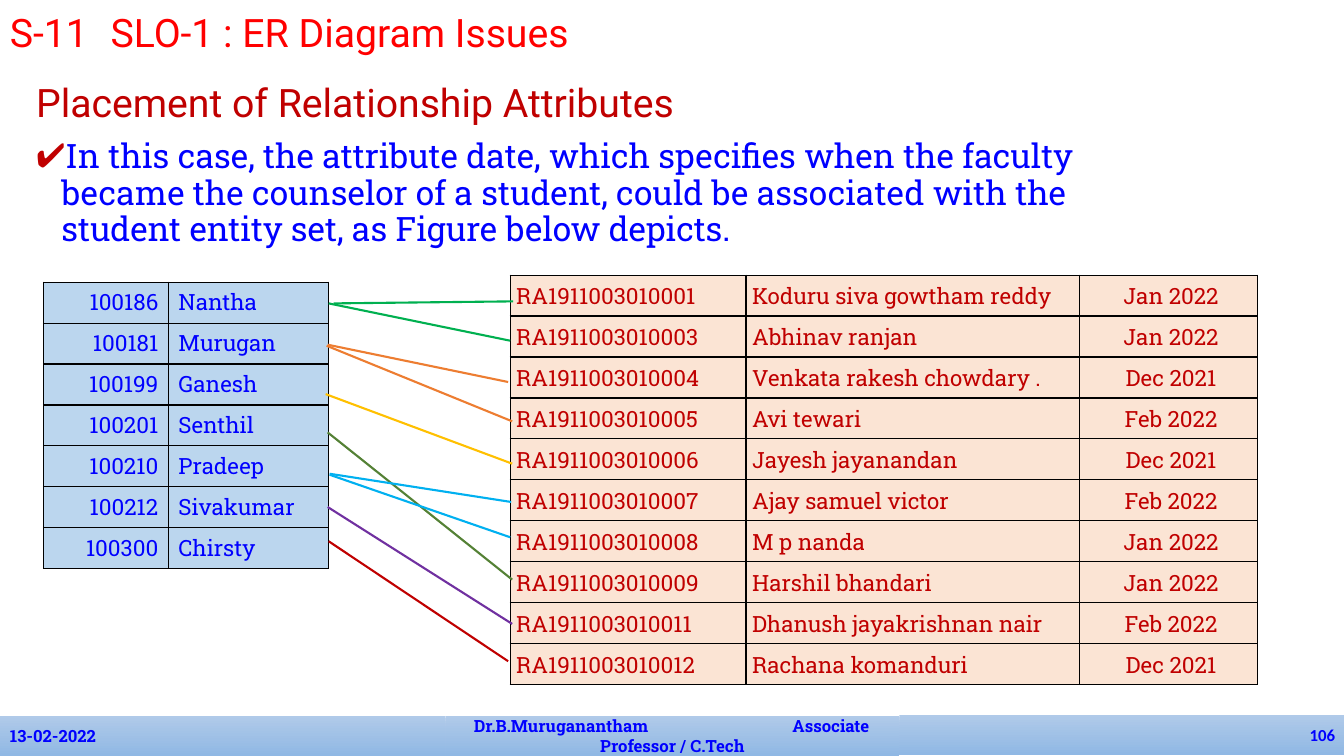
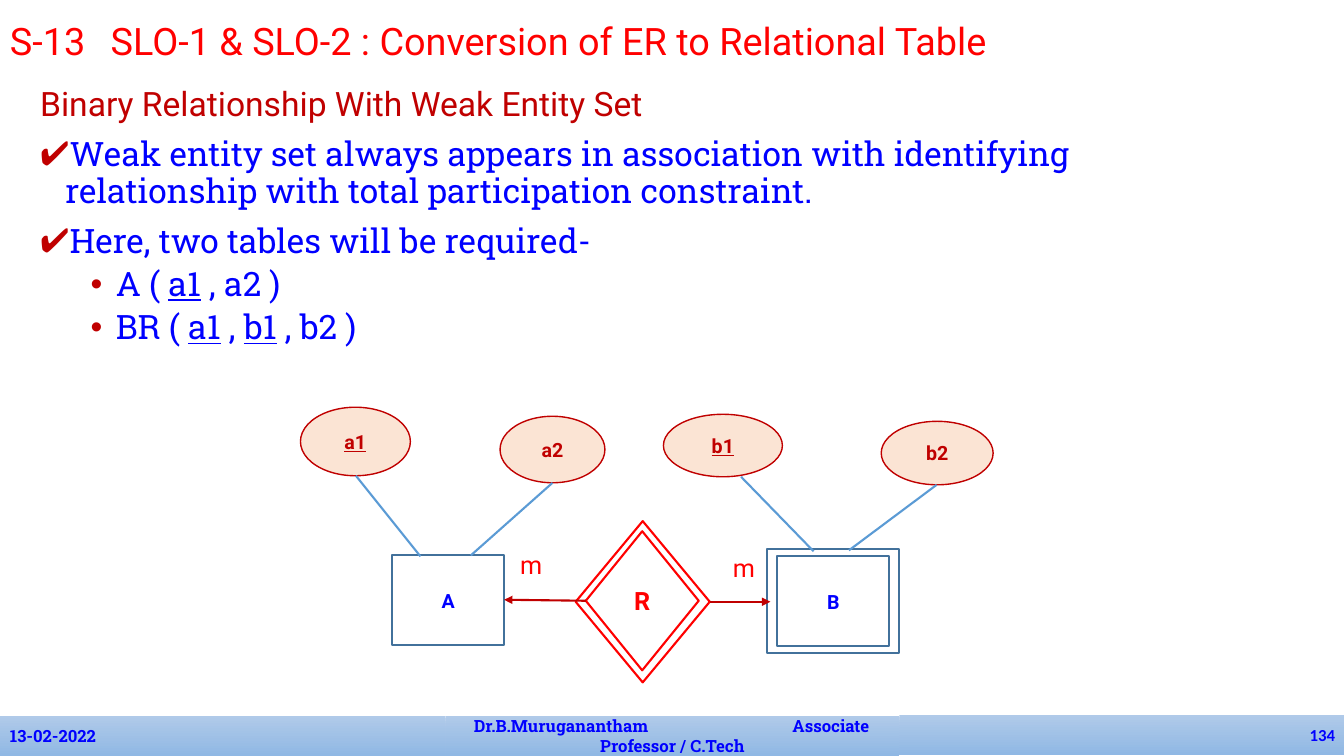
"""Builds two lecture slides on entity-relationship diagrams."""
from lxml import etree
from pptx import Presentation
from pptx.dml.color import RGBColor
from pptx.enum.shapes import MSO_CONNECTOR, MSO_SHAPE
from pptx.enum.text import MSO_ANCHOR, PP_ALIGN
from pptx.oxml.ns import qn
from pptx.util import Inches, Pt

RECTANGLE, ELLIPSE, DIAMOND = MSO_SHAPE.RECTANGLE, MSO_SHAPE.OVAL, MSO_SHAPE.DIAMOND
STRAIGHT = MSO_CONNECTOR.STRAIGHT
TOP, MIDDLE = MSO_ANCHOR.TOP, MSO_ANCHOR.MIDDLE
LEFT, CENTER, RIGHT = PP_ALIGN.LEFT, PP_ALIGN.CENTER, PP_ALIGN.RIGHT

RED = RGBColor(0xFF, 0x00, 0x00)
DARK_RED = RGBColor(0xC0, 0x00, 0x00)
BLUE = RGBColor(0x00, 0x00, 0xFF)
STEEL = RGBColor(0x42, 0x71, 0x9B)
LINK_BLUE = RGBColor(0x5B, 0x9B, 0xD5)
PALE_BLUE = RGBColor(0xBB, 0xD6, 0xEE)
PEACH = RGBColor(0xFB, 0xE4, 0xD4)
GREEN = RGBColor(0x00, 0xB0, 0x50)
ORANGE = RGBColor(0xED, 0x7D, 0x31)
GOLD = RGBColor(0xFF, 0xC0, 0x00)
OLIVE = RGBColor(0x54, 0x81, 0x35)
SKY = RGBColor(0x00, 0xB0, 0xF0)
PURPLE = RGBColor(0x70, 0x30, 0xA0)
BAND_COLORS = RGBColor(0xB0, 0xCA, 0xE9), RGBColor(0x90, 0xB8, 0xE4)


def style(size, color, name="Roboto", bold=False):
    return {"size": Pt(size), "color": color, "name": name, "bold": bold}


BODY = style(24, BLUE, "Roboto Slab")
FOOTER = style(12, BLUE, "Roboto Slab", True)
PAGE_NUMBER = style(12, BLUE, "Calibri", True)
FACULTY_TEXT = style(16, BLUE, "Roboto Slab")
STUDENT_TEXT = style(16, DARK_RED, "Roboto Slab")
ATTRIBUTE = style(14, DARK_RED, bold=True)
ENTITY = style(14, BLUE, bold=True)
RELATIONSHIP = style(18, RED, bold=True)
CARDINALITY = style(18, RED)

DATE = "13-02-2022"
AUTHOR = ["Dr.B.Muruganantham\tAssociate", "Professor / C.Tech"]

PLACEMENT = {
    "title": "S-11\tSLO-1 : ER Diagram Issues", "title_size": 28, "title_top": 0.03,
    "heading": "Placement of Relationship Attributes", "heading_size": 28,
    "body_at": (0.26, 0.78), "page": "106",
    "bullets": [
        ("✔", "In this case, the attribute date, which specifies when the faculty became "
              "the counselor of a student, could be associated with the student entity set, "
              "as Figure below depicts."),
    ],
}
WEAK_ENTITY = {
    "title": "S-13\tSLO-1 & SLO-2 : Conversion of ER to Relational Table",
    "title_size": 27, "title_top": 0.13,
    "heading": "Binary Relationship With Weak Entity Set", "heading_size": 24,
    "body_at": (0.3, 0.82), "page": "134",
    "bullets": [
        ("✔", "Weak entity set always appears in association with identifying "
              "relationship with total participation constraint."),
        ("✔", "Here, two tables will be required-"),
        ("•", "A ( _a1_ , a2 )"),
        ("•", "BR ( _a1_ , _b1_ , b2 )"),
    ],
}
BULLET_FORMATS = {"✔": {"indent": 0.25, "before": 10}, "•": {"indent": 0.75, "before": 5}}

FACULTY = [
    ("100186", "Nantha"), ("100181", "Murugan"), ("100199", "Ganesh"), ("100201", "Senthil"),
    ("100210", "Pradeep"), ("100212", "Sivakumar"), ("100300", "Chirsty"),
]
STUDENTS = [
    ("RA1911003010001", "Koduru siva gowtham reddy", "Jan 2022"),
    ("RA1911003010003", "Abhinav ranjan", "Jan 2022"),
    ("RA1911003010004", "Venkata rakesh chowdary .", "Dec 2021"),
    ("RA1911003010005", "Avi tewari", "Feb 2022"),
    ("RA1911003010006", "Jayesh jayanandan", "Dec 2021"),
    ("RA1911003010007", "Ajay samuel victor", "Feb 2022"),
    ("RA1911003010008", "M p nanda", "Jan 2022"),
    ("RA1911003010009", "Harshil bhandari", "Jan 2022"),
    ("RA1911003010011", "Dhanush jayakrishnan nair", "Feb 2022"),
    ("RA1911003010012", "Rachana komanduri", "Dec 2021"),
]
ROW_HEIGHT = 0.406
COUNSELOR_LINKS = [
    (GREEN, (3.26, 3.01), (5.06, 3.38)),
    (ORANGE, (3.25, 3.42), (5.04, 3.79)),
    (GREEN, (3.31, 3.01), (5.09, 2.99)),
    (ORANGE, (3.24, 3.43), (5.08, 4.18)),
    (GOLD, (3.23, 3.91), (5.08, 4.6)),
    (OLIVE, (3.25, 4.29), (5.08, 5.75)),
    (SKY, (3.27, 4.71), (5.06, 5.33)),
    (SKY, (3.27, 4.7), (5.07, 4.98)),
    (PURPLE, (3.25, 5.03), (5.08, 6.19)),
    (DARK_RED, (3.26, 5.37), (5.04, 6.56)),
]

ATTRIBUTES = [
    ("_a1_", (2.98, 4.04, 1.09, 0.68)), ("a2", (4.96, 4.13, 1.04, 0.66)),
    ("_b1_", (6.58, 4.11, 1.18, 0.62)), ("b2", (8.74, 4.18, 1.11, 0.63)),
]
DIAGRAM_NODES = [
    (RECTANGLE, "B", ENTITY, STEEL, (7.61, 5.45, 1.31, 1.03)),
    (RECTANGLE, "", ENTITY, STEEL, (7.71, 5.52, 1.11, 0.89)),
    (RECTANGLE, "A", ENTITY, STEEL, (3.89, 5.51, 1.11, 0.89)),
    (DIAMOND, "", RELATIONSHIP, RED, (5.71, 5.17, 1.33, 1.6)),
    (DIAMOND, "R", RELATIONSHIP, RED, (5.81, 5.27, 1.12, 1.38)),
]
ATTRIBUTE_LINKS = [
    ((4.17, 5.52), (3.53, 4.72)), ((5.48, 4.79), (4.67, 5.51)),
    ((8.07, 5.47), (7.35, 4.73)), ((9.29, 4.81), (8.42, 5.46)),
]
ENTITY_ARROWS = [((5.81, 5.96), (5, 5.95)), ((7.04, 5.97), (7.64, 5.97))]
CARDINALITIES = [(5.06, 5.4, 0.39, 0.68), (7.17, 5.43, 0.39, 0.6)]


def add_element(parent, tag, **attributes):
    return etree.SubElement(parent, qn(tag), attributes)


def write(paragraph, text, font_format, align=LEFT):
    paragraph.alignment = align
    for index, part in enumerate(text.split("_")):
        if not part:
            continue
        run = paragraph.add_run()
        run.text = part
        run.font.underline = index % 2 == 1
        for name, value in font_format.items():
            if name == "color":
                run.font.color.rgb = value
            else:
                setattr(run.font, name, value)


def add_text(slide, box, text, font_format):
    frame = slide.shapes.add_textbox(*map(Inches, box)).text_frame
    frame.word_wrap = True
    write(frame.paragraphs[0], text, font_format)
    return frame


def add_node(slide, kind, box, text, font_format, align=CENTER):
    shape = slide.shapes.add_shape(kind, *map(Inches, box))
    shape.shadow.inherit = False
    shape.fill.background()
    shape.line.fill.background()
    shape.text_frame.vertical_anchor = MIDDLE
    write(shape.text_frame.paragraphs[0], text, font_format, align)
    return shape


def outline(shape, color, width):
    shape.line.color.rgb = color
    shape.line.width = Pt(width)


def add_link(slide, start, end, color, arrow=False):
    link = slide.shapes.add_connector(STRAIGHT, *map(Inches, start + end))
    outline(link, color, 1.5)
    if arrow:
        add_element(link.line._get_or_add_ln(), "a:tailEnd", type="triangle")
    add_element(link._element.spPr, "a:effectLst")


def add_bullet(frame, mark, text):
    paragraph = frame.add_paragraph()
    bullet = BULLET_FORMATS[mark]
    paragraph.line_spacing = 0.9
    paragraph.space_before = Pt(bullet["before"])
    properties = paragraph._p.get_or_add_pPr()
    properties.set("marL", str(Inches(bullet["indent"])))
    properties.set("indent", str(Inches(-0.25)))
    add_element(add_element(properties, "a:buClr"), "a:srgbClr", val=str(DARK_RED))
    add_element(properties, "a:buFont", typeface="Arial")
    add_element(properties, "a:buChar", char=mark)
    write(paragraph, text, BODY)


def add_band(slide, box, text, font_format, align):
    band = add_node(slide, RECTANGLE, box, text, font_format, align)
    band.fill.gradient()
    band.fill.gradient_angle = 270
    for stop, color in zip(band.fill.gradient_stops, BAND_COLORS):
        stop.color.rgb = color
    return band.text_frame


def add_footer(slide, page):
    add_band(slide, (0, 7.1, 4.42, 0.4), DATE, FOOTER, LEFT)
    frame = add_band(slide, (4.42, 7.1, 4.5, 0.4), AUTHOR[0], FOOTER, LEFT)
    frame.margin_left = frame.margin_right = Inches(0.28)
    tabs = add_element(frame.paragraphs[0]._p.get_or_add_pPr(), "a:tabLst")
    add_element(tabs, "a:tab", pos=str(Inches(3.16)), algn="l")
    write(frame.add_paragraph(), AUTHOR[1], FOOTER, CENTER)
    add_band(slide, (8.92, 7.09, 4.42, 0.4), page, PAGE_NUMBER, RIGHT)


def add_lecture_slide(presentation, content):
    slide = presentation.slides.add_slide(presentation.slide_layouts[6])
    frame = add_text(slide, (*content["body_at"], 11.5, 4.76), content["heading"],
                     style(content["heading_size"], DARK_RED))
    frame.paragraphs[0].line_spacing = 0.9
    for mark, text in content["bullets"]:
        add_bullet(frame, mark, text)
    add_footer(slide, content["page"])
    add_text(slide, (0, content["title_top"], 12.2, 0.57), content["title"],
             style(content["title_size"], RED))
    return slide


def add_border(cell):
    properties = cell._tc.get_or_add_tcPr()
    for index, side in enumerate(("a:lnL", "a:lnR", "a:lnT", "a:lnB")):
        line = add_element(properties, side, w=str(Pt(1)))
        add_element(add_element(line, "a:solidFill"), "a:srgbClr", val="000000")
        properties.insert(index, line)


def add_grid(slide, at, widths, rows, fill, font_format, aligns, cell_format):
    size = sum(widths), ROW_HEIGHT * len(rows)
    table = slide.shapes.add_table(len(rows), len(widths), *map(Inches, at + size)).table
    for column, width in zip(table.columns, widths):
        column.width = Inches(width)
    for row, values in zip(table.rows, rows):
        row.height = Inches(ROW_HEIGHT)
        for cell, value, align in zip(row.cells, values, aligns):
            for name, setting in cell_format.items():
                setattr(cell, name, setting)
            cell.fill.solid()
            cell.fill.fore_color.rgb = fill
            add_border(cell)
            write(cell.text_frame.paragraphs[0], value, font_format, align)


def build_placement(presentation):
    slide = add_lecture_slide(presentation, PLACEMENT)
    add_grid(slide, (0.43, 2.8), (1.24, 1.59), FACULTY, PALE_BLUE, FACULTY_TEXT,
             (RIGHT, LEFT), {"vertical_anchor": TOP})
    add_grid(slide, (5.06, 2.73), (2.34, 3.31, 1.76), STUDENTS, PEACH, STUDENT_TEXT,
             (LEFT, LEFT, CENTER),
             {"vertical_anchor": MIDDLE, "margin_left": Inches(0.06),
              "margin_right": Inches(0.01), "margin_top": Inches(0.01), "margin_bottom": 0})
    for color, start, end in COUNSELOR_LINKS:
        add_link(slide, start, end, color)


def build_weak_entity(presentation):
    slide = add_lecture_slide(presentation, WEAK_ENTITY)
    for kind, text, font_format, color, box in DIAGRAM_NODES:
        outline(add_node(slide, kind, box, text, font_format), color, 1.5)
    for text, box in ATTRIBUTES:
        ellipse = add_node(slide, ELLIPSE, box, text, ATTRIBUTE)
        ellipse.fill.solid()
        ellipse.fill.fore_color.rgb = PEACH
        outline(ellipse, DARK_RED, 1)
    for start, end in ATTRIBUTE_LINKS:
        add_link(slide, start, end, LINK_BLUE)
    for start, end in ENTITY_ARROWS:
        add_link(slide, start, end, DARK_RED, arrow=True)
    for box in CARDINALITIES:
        add_text(slide, box, "m", CARDINALITY)


def main():
    presentation = Presentation()
    presentation.slide_width, presentation.slide_height = Inches(13.33), Inches(7.5)
    build_placement(presentation)
    build_weak_entity(presentation)
    presentation.save("out.pptx")


if __name__ == "__main__":
    main()
